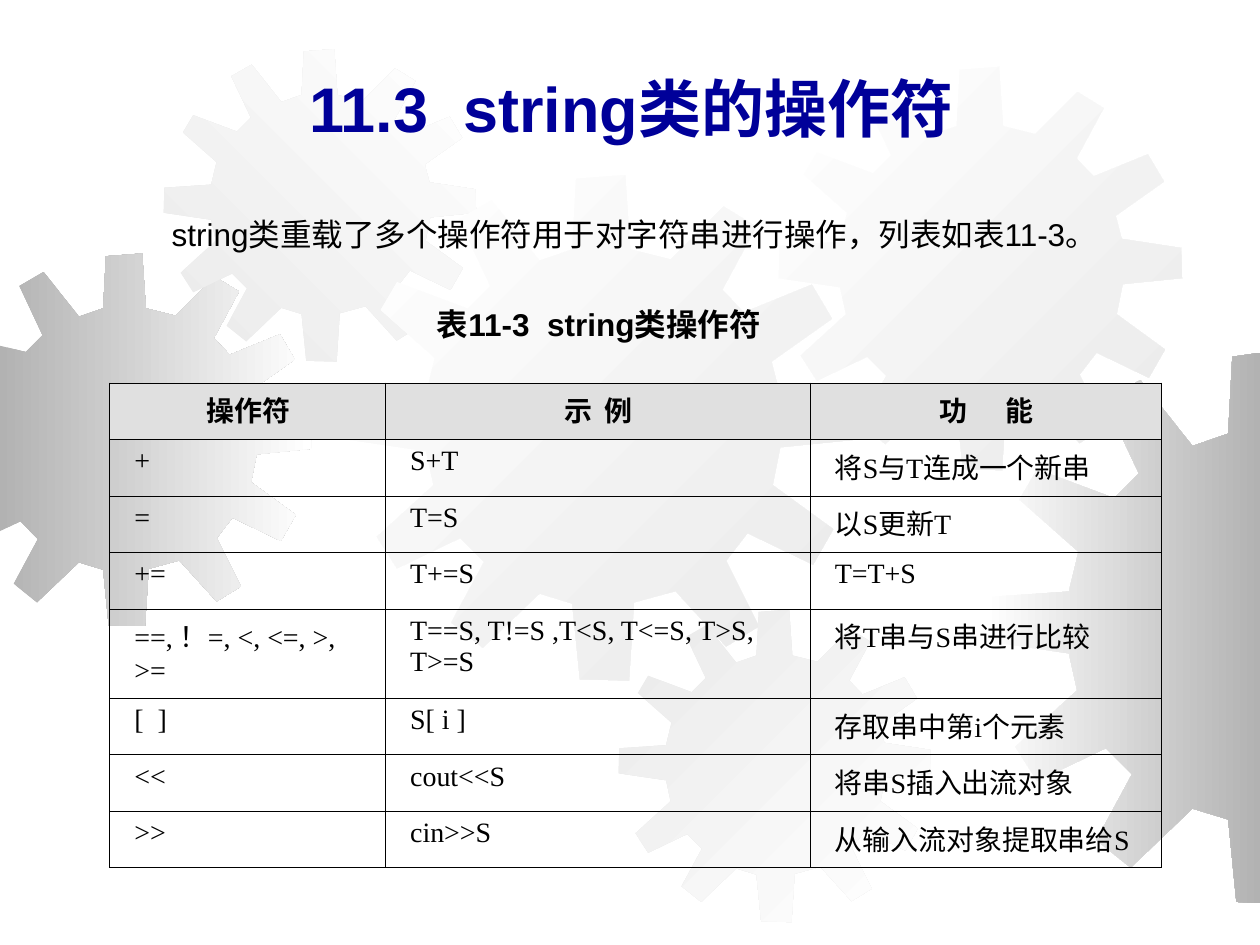
from lxml import etree
from pptx import Presentation
from pptx.dml.color import RGBColor
from pptx.enum.text import MSO_ANCHOR, PP_ALIGN
from pptx.oxml.ns import qn
from pptx.util import Cm, Pt

CENTER, LEFT = PP_ALIGN.CENTER, PP_ALIGN.LEFT
MIDDLE = MSO_ANCHOR.MIDDLE
COLORS = {"white": "FFFFFF", "pale": "EAEAEA", "gray": "B2B2B2",
          "header": "E0E0E0", "title": "000099", "black": "000000"}


def rgb(name):
    return RGBColor.from_string(COLORS[name])


def write(tf, text, size, font, color="black", bold=False, align=LEFT):
    p = tf.paragraphs[0]
    p.alignment = align
    r = p.add_run()
    r.text = text
    r.font.size = Pt(size)
    r.font.name = font
    r.font.bold = bold
    r.font.color.rgb = rgb(color)
    return p


prs = Presentation()
prs.slide_width, prs.slide_height = Cm(25.4), Cm(19.05)
s = prs.slides.add_slide(prs.slide_layouts[5])

GEAR_SIZE = 401
gear = [
    (255, 67), (223, 59), (219, 0), (180, 3), (177, 59), (151, 68),
    (113, 20), (87, 35), (112, 88), (94, 106), (38, 85), (25, 107),
    (68, 145), (61, 174), (1, 178), (0, 210), (61, 219), (67, 246),
    (22, 287), (38, 312), (88, 288), (107, 307), (81, 355), (106, 375),
    (151, 332), (177, 340), (183, 400), (222, 401), (226, 339), (259, 330),
    (299, 374), (325, 358), (299, 306), (316, 284), (368, 309), (384, 281),
    (336, 246), (342, 216), (401, 210), (400, 180), (341, 171), (335, 148),
    (383, 114), (367, 87), (313, 109), (296, 91), (323, 41), (297, 25)]
cut_left = gear[:10] + [(65, 99), (65, 299)] + gear[20:]
cut_bottom = gear[:18] + gear[36:]
cut_right = [(201, 0)] + gear[3:27] + [(201, 401)]

gears = [
    (-1.24, 5.11, 7.52, cut_left, "gray", "white", 0),
    (3.3, 0.99, 6.3, gear, "pale", "white", 45),
    (7.04, 3.53, 10.19, gear, "white", "pale", 315),
    (0, 13.34, 9.5, cut_bottom, "white", None, 0),
    (12.47, 12.29, 6.3, gear, "pale", "white", 315),
    (15.7, 1.35, 8.13, gear, "white", "pale", 315),
    (19.86, 7.11, 11.1, cut_right, "white", "gray", 0)]
for x, y, size, points, start, end, angle in gears:
    fb = s.shapes.build_freeform(*points[0], scale=Cm(size) / GEAR_SIZE)
    fb.add_line_segments(points[1:], close=True)
    sp = fb.convert_to_shape(Cm(x), Cm(y))
    sp.shadow.inherit = False
    sp.line.fill.background()
    if end:
        sp.fill.gradient()
        sp.fill.gradient_angle = angle
        for stop, color in zip(sp.fill.gradient_stops, (start, end)):
            stop.color.rgb = rgb(color)
    else:
        sp.fill.solid()
        sp.fill.fore_color.rgb = rgb(start)
        clr = sp.element.spPr.find(".//" + qn("a:srgbClr"))
        etree.SubElement(clr, qn("a:alpha"), val="50000")

title = s.shapes.title
title.element.getparent().append(title.element)
title.left, title.top, title.width, title.height = Cm(1.3), Cm(1.32), Cm(22.86), Cm(1.68)
title.text_frame.vertical_anchor = MIDDLE
write(title.text_frame, "11.3  string类的操作符", 36, "Arial", "title", True, CENTER)

texts = [
    (2.11, 4.11, 22, "string类重载了多个操作符用于对字符串进行操作，列表如表11-3。", False, 0.85),
    (8.31, 5.92, 10.69, "表11-3  string类操作符", True, 0)]
for x, y, w, text, bold, indent in texts:
    sp = s.shapes.add_textbox(Cm(x), Cm(y), Cm(w), Cm(1.22))
    tf = sp.text_frame
    tf.word_wrap = True
    tf.vertical_anchor = MIDDLE
    tf.margin_left, tf.margin_right = Cm(0.5), Cm(0.46)
    tf.margin_top = tf.margin_bottom = Cm(0.23)
    p = write(tf, text, 18, "Arial", bold=bold)
    p._p.get_or_add_pPr().set("indent", str(Cm(indent)))

rows = [
    ("操作符", "示  例", "功      能"),
    ("+", "S+T", "将S与T连成一个新串"),
    ("=", "T=S", "以S更新T"),
    ("+=", "T+=S", "T=T+S"),
    ("==, ！=, <, <=, >, >=", "T==S, T!=S ,T<S, T<=S, T>S, T>=S", "将T串与S串进行比较"),
    ("[  ]", "S[ i ]", "存取串中第i个元素"),
    ("<<", "cout<<S", "将串S插入出流对象"),
    (">>", "cin>>S", "从输入流对象提取串给S")]
widths = [5.56, 8.56, 7.09]
heights = [1.14] * 4 + [1.8] + [1.14] * 3
tbl = s.shapes.add_table(len(rows), len(widths), Cm(2.21), Cm(7.72),
                         Cm(sum(widths)), Cm(sum(heights))).table
tbl.first_row = tbl.horz_banding = False
for col, w in zip(tbl.columns, widths):
    col.width = Cm(w)
for row, h in zip(tbl.rows, heights):
    row.height = Cm(h)
for i, row in enumerate(rows):
    for j, text in enumerate(row):
        cell = tbl.cell(i, j)
        cell.margin_left, cell.margin_right = Cm(0.5), Cm(0.46)
        cell.margin_top = cell.margin_bottom = Cm(0.13)
        write(cell.text_frame, text, 16, "Times New Roman",
              bold=i == 0, align=LEFT if i else CENTER)
        tcPr = cell._tc.get_or_add_tcPr()
        for side in ("lnL", "lnR", "lnT", "lnB"):
            ln = etree.SubElement(tcPr, qn("a:" + side), w=str(Pt(0.5)))
            fill = etree.SubElement(ln, qn("a:solidFill"))
            etree.SubElement(fill, qn("a:srgbClr"), val=COLORS["black"])
        if i:
            cell.fill.background()
        else:
            cell.fill.solid()
            cell.fill.fore_color.rgb = rgb("header")

prs.save("out.pptx")
